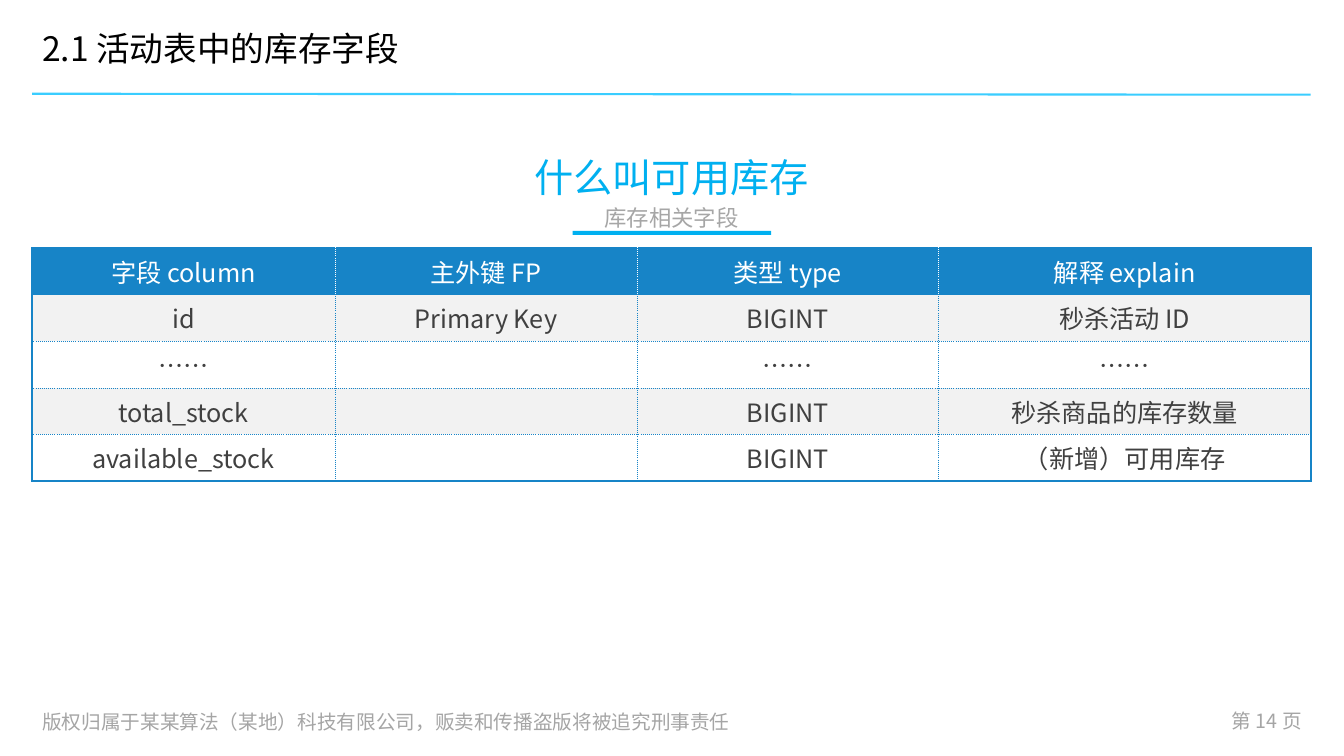
from typing import Any, NamedTuple

from lxml import etree
from pptx import Presentation
from pptx.dml.color import RGBColor
from pptx.enum.shapes import MSO_CONNECTOR, MSO_SHAPE
from pptx.enum.text import MSO_ANCHOR, MSO_AUTO_SIZE, PP_ALIGN
from pptx.oxml.ns import qn
from pptx.util import Inches, Pt

LEFT, MID, RIGHT = PP_ALIGN.LEFT, PP_ALIGN.CENTER, PP_ALIGN.RIGHT
TOP, CORE, BASE = MSO_ANCHOR.TOP, MSO_ANCHOR.MIDDLE, MSO_ANCHOR.BOTTOM
FIXED = MSO_AUTO_SIZE.NONE
LINE, RECT = MSO_CONNECTOR.STRAIGHT, MSO_SHAPE.RECTANGLE

FONT = "Noto Sans CJK SC"
BLACK = RGBColor(0x00, 0x00, 0x00)
WHITE = RGBColor(0xFF, 0xFF, 0xFF)
PALE = RGBColor(0xF2, 0xF2, 0xF2)
DARK = RGBColor(0x40, 0x40, 0x40)
GREY = RGBColor(0xA5, 0xA5, 0xA5)
SOFT = RGBColor(0xA6, 0xA6, 0xA6)
CYAN = RGBColor(0x00, 0xB0, 0xF0)
SKY = RGBColor(0x3A, 0xCD, 0xFF)
BLUE = RGBColor(0x17, 0x84, 0xC7)

WIDE, HIGH = Inches(13.33), Inches(7.5)
EDGE, SPAN = 2.4, 95.12
ROW = 5.33
COLS = (22.5, 22.5, 22.43, 27.7)
DATA = (
    ("字段 column", "主外键 FP", "类型 type", "解释 explain"),
    ("id", "Primary Key", "BIGINT", "秒杀活动 ID"),
    ("……", "", "……", "……"),
    ("total_stock", "", "BIGINT", "秒杀商品的库存数量"),
    ("available_stock", "", "BIGINT", "（新增）可用库存"),
)


class Box(NamedTuple):
    left: float
    top: float
    width: float
    height: float


class Label(NamedTuple):
    text: str
    box: Box
    style: dict[str, Any]
    title: bool = False


LABELS = (
    Label("版权归属于某某算法（某地）科技有限公司，贩卖和传播盗版将被追究刑事责任",
          Box(EDGE, 93.07, 58.21, 4.67), dict(size=14, color=GREY, pad=0.1)),
    Label("第 14 页", Box(88.6, 93.07, 9, 4.67),
          dict(size=14, color=GREY, align=RIGHT, anchor=TOP)),
    Label("什么叫可用库存", Box(EDGE, 14, SPAN, 13.2),
          dict(size=28, color=CYAN, align=MID, anchor=BASE, lead=0.9), True),
    Label("2.1 活动表中的库存字段", Box(EDGE, 2, SPAN, 9.47),
          dict(size=24, color=BLACK, lead=0.9, gap=10)),
    Label("库存相关字段", Box(EDGE, 27.2, SPAN, 3.6),
          dict(size=16, color=SOFT, align=MID, lead=0.9, gap=10)),
)


def across(share: float) -> int:
    return round(WIDE * share / 100)


def down(share: float) -> int:
    return round(HIGH * share / 100)


def place(box: Box) -> tuple[int, int, int, int]:
    return across(box.left), down(box.top), across(box.width), down(box.height)


def write(frame: Any, text: str, *, size: int, color: RGBColor,
          align: Any = LEFT, anchor: Any = CORE, lead: float = 1.0,
          gap: int = 0, pad: float = 0.05) -> None:
    frame.word_wrap = True
    frame.auto_size = FIXED
    frame.vertical_anchor = anchor
    frame.margin_left = frame.margin_right = Inches(0.1)
    frame.margin_top = frame.margin_bottom = Inches(pad)
    style(frame.paragraphs[0], text, size, color, align)
    frame.paragraphs[0].line_spacing = lead
    frame.paragraphs[0].space_before = Pt(gap)


def style(para: Any, text: str, size: int, color: RGBColor, align: Any) -> None:
    para.alignment = align
    run = para.add_run()
    run.text = text
    run.font.size = Pt(size)
    run.font.bold = False
    run.font.color.rgb = color
    run.font.name = FONT
    east = etree.Element(qn("a:ea"), typeface=FONT)
    run.font._element.find(qn("a:latin")).addnext(east)


def label(slide: Any, item: Label) -> None:
    if item.title:
        shape = slide.shapes.title
        shape.left, shape.top, shape.width, shape.height = place(item.box)
    else:
        shape = slide.shapes.add_textbox(*place(item.box))
    write(shape.text_frame, item.text, **item.style)


def border(cell: Any, side: str, color: RGBColor, bold: bool) -> None:
    width = Pt(1.5 if bold else 0.25)
    props = cell._tc.get_or_add_tcPr()
    line = etree.SubElement(props, qn(f"a:ln{side}"), w=str(width))
    fill = etree.SubElement(line, qn("a:solidFill"))
    etree.SubElement(fill, qn("a:srgbClr"), val=str(color))
    etree.SubElement(line, qn("a:prstDash"), val="solid" if bold else "sysDot")


def table(slide: Any) -> None:
    box = Box(EDGE, 32.8, SPAN, ROW * len(DATA))
    grid = slide.shapes.add_table(len(DATA), len(COLS), *place(box)).table
    grid.first_row = grid.horz_banding = False
    for col, share in zip(grid.columns, COLS):
        col.width = across(share)
    for row, texts in enumerate(DATA):
        grid.rows[row].height = down(ROW)
        head = row == 0
        for col, text in enumerate(texts):
            cell = grid.cell(row, col)
            bold = {"L": col == 0, "R": col == len(COLS) - 1,
                    "T": row <= 1, "B": row in (0, len(DATA) - 1)}
            for side, thick in bold.items():
                border(cell, side, WHITE if head and not thick else BLUE, thick)
            cell.fill.solid()
            cell.fill.fore_color.rgb = BLUE if head else PALE if row % 2 else WHITE
            cell.vertical_anchor = CORE
            if text:
                style(cell.text_frame.paragraphs[0], text, 18,
                      WHITE if head else DARK, MID)


def rule(slide: Any) -> None:
    line = slide.shapes.add_connector(
        LINE, across(EDGE + SPAN), down(12.53), across(EDGE), down(12.4))
    line.line.color.rgb = SKY
    line.line.width = Pt(1.5)
    etree.SubElement(line._element.spPr, qn("a:effectLst"))


def bar(slide: Any) -> None:
    shape = slide.shapes.add_shape(RECT, *place(Box(42.61, 30.53, 14.78, 0.53)))
    shape.shadow.inherit = False
    shape.fill.solid()
    shape.fill.fore_color.rgb = CYAN
    shape.line.fill.background()


def main() -> None:
    deck = Presentation()
    deck.slide_width, deck.slide_height = WIDE, HIGH
    slide = deck.slides.add_slide(deck.slide_layouts[5])
    rule(slide)
    bar(slide)
    for item in LABELS:
        label(slide, item)
    table(slide)
    deck.save("out.pptx")


if __name__ == "__main__":
    main()
